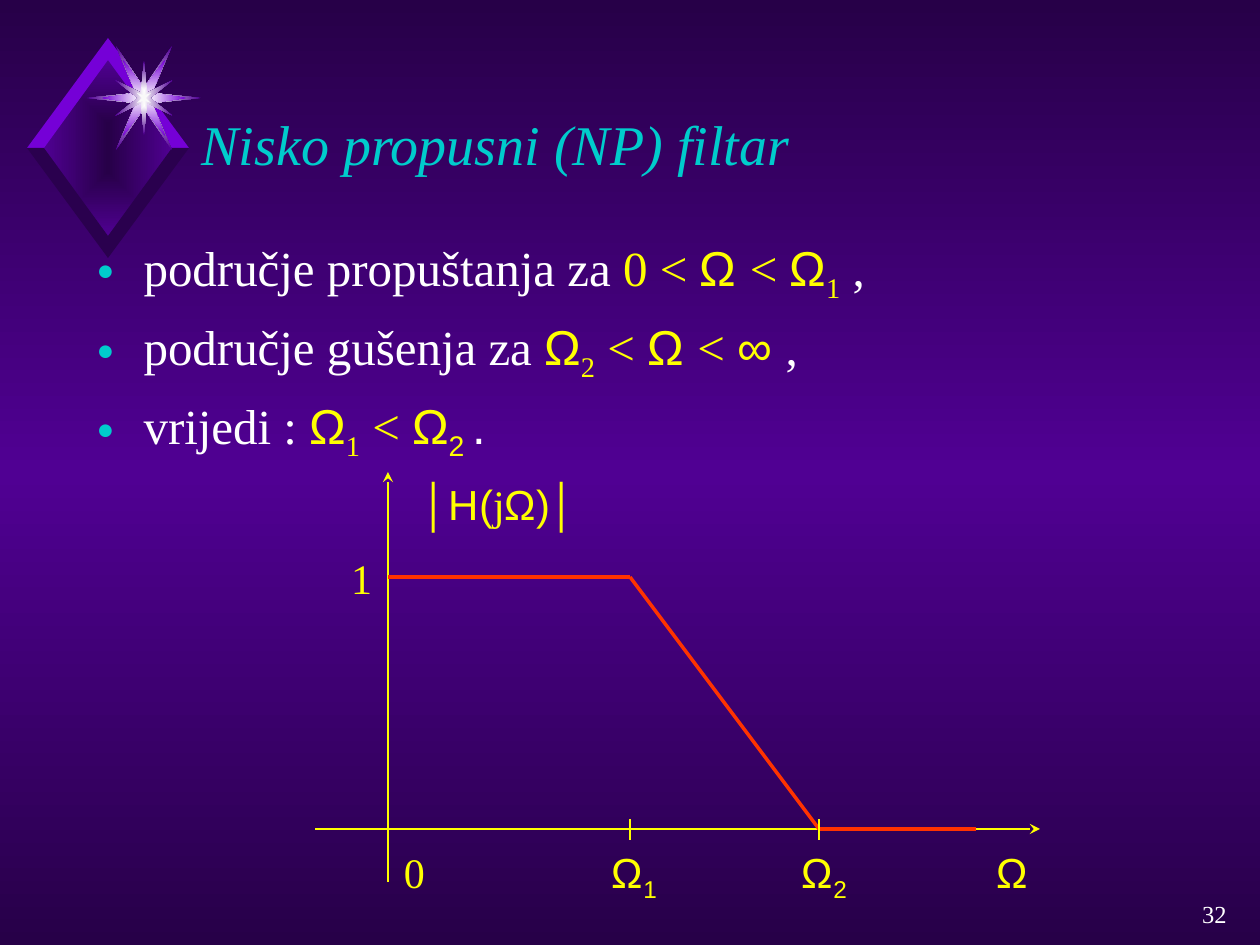
from lxml.etree import SubElement
from pptx import Presentation
from pptx.dml.color import RGBColor
from pptx.enum.shapes import MSO_CONNECTOR
from pptx.enum.text import MSO_ANCHOR, MSO_AUTO_SIZE, PP_ALIGN
from pptx.oxml.ns import qn
from pptx.util import Pt

W, H = 1260, 945
COLORS = dict(dark="270048", mid="500093", bright="7500D7", shade="2A004E",
              star="FEFEFE", core="F9F9F9", title="00CCCC", text="FFFFFF",
              axis="FFFF00", curve="FF3300")
TIMES, ARIAL = "Times New Roman", "Arial"

# Run styles: font, colour, subscript
STYLES = {
    "w": (TIMES, "text", False), "wa": (ARIAL, "text", False),
    "y": (TIMES, "axis", False), "ya": (ARIAL, "axis", False),
    "sub": (TIMES, "axis", True), "suba": (ARIAL, "axis", True),
    "title": (TIMES, "title", False),
}
TITLE = [("Nisko propusni (NP) filtar", "title")]
BULLETS = [
    [("područje propuštanja za ", "w"), ("0 < ", "y"), ("Ω ", "ya"), ("< ", "y"),
     ("Ω", "ya"), ("1", "sub"), (" ,", "w")],
    [("područje gušenja za ", "w"), ("Ω", "ya"), ("2", "sub"), (" < ", "y"),
     ("Ω ", "ya"), ("< ", "y"), ("∞ ", "ya"), (",", "w")],
    [("vrijedi : ", "w"), ("Ω", "ya"), ("1", "sub"), (" < ", "y"), ("Ω", "ya"),
     ("2 ", "suba"), (".", "wa")],
]

# Filter response: origin, pass-band edge, stop-band edge, end of curve
X0, X1, X2, X_END = 388, 630, 819, 976
Y_ONE, Y_ZERO = 577, 829
AXES = [((X0, 882), (X0, 472)), ((315, Y_ZERO), (1040, Y_ZERO))]
CURVE = [(X0, Y_ONE), (X1, Y_ONE), (X2, Y_ZERO), (X_END, Y_ZERO)]
LABEL_W, LABEL_Y = 73, 840
LABELS = [
    ((976, LABEL_Y, LABEL_W, 63), [("Ω", "ya")]),
    ((788, LABEL_Y, LABEL_W, 70), [("Ω", "ya"), ("2", "suba")]),
    ((598, LABEL_Y, LABEL_W, 70), [("Ω", "ya"), ("1", "suba")]),
    ((410, 472, 179, 63), [("│Η(", "ya"), ("j", "y"), ("Ω)│", "ya")]),
    ((378, LABEL_Y, LABEL_W, 63), [("0", "y")]),
    ((325, 546, LABEL_W, 63), [("1", "y")]),
]

# Ornament: each star is given by its upper right quarter, around its centre
DIAMOND = (108, 148)
OUTER, INNER = (81, 110), (64, 88)
STAR = (144, 98)
STARS = [
    ([(57, 0), (8, -5), (28, -52), (0, -10)], ("star", "mid")),
    ([(42, 0), (8, -5), (21, -38), (0, -10)], ("star", "bright")),
    ([(6, 0), (29, -18), (3, -5), (0, -37)], ("star", "mid")),
    ([(2, 0), (7, -5), (1, -3), (0, -9)], ("core",)),
]


def px(n):
    return round(n * 914400 / 126)


def rgb(name):
    return RGBColor.from_string(COLORS[name])


def set_gradient(fill, root, names, rectangular):
    """Spread the named colours evenly, from the centre out or top to bottom."""
    fill.gradient()
    grad = root.find(".//" + qn("a:gradFill"))
    for child in list(grad):
        grad.remove(child)
    stops = SubElement(grad, qn("a:gsLst"))
    for i, name in enumerate(names):
        gs = SubElement(stops, qn("a:gs"), pos=str(100000 * i // (len(names) - 1)))
        SubElement(gs, qn("a:srgbClr"), val=COLORS[name])
    if rectangular:
        path = SubElement(grad, qn("a:path"), path="rect")
        SubElement(path, qn("a:fillToRect"), l="50000", t="50000", r="50000", b="50000")
    else:
        SubElement(grad, qn("a:lin"), ang="5400000", scaled="1")


def add_outline(s, center, offsets, names):
    points = [(px(center[0] + x), px(center[1] + y)) for x, y in offsets]
    builder = s.shapes.build_freeform(*points[0])
    builder.add_line_segments(points[1:], close=True)
    sp = builder.convert_to_shape()
    sp.shadow.inherit = False
    sp.line.fill.background()
    if len(names) > 1:
        set_gradient(sp.fill, sp._element, names, True)
    else:
        sp.fill.solid()
        sp.fill.fore_color.rgb = rgb(names[0])


def add_ornament(s):
    (ow, oh), (iw, ih) = OUTER, INNER
    add_outline(s, DIAMOND, [(0, -ih - 1), (-iw - 1, 0), (0, ih + 1), (iw + 1, 0)],
                ("dark", "mid"))
    for sy, name in ((-1, "bright"), (1, "shade")):
        for sx in (1, -1):
            add_outline(s, DIAMOND, [(0, sy * ih), (0, sy * oh), (sx * ow, 0), (sx * iw, 0)],
                        (name,))
    for quarter, names in STARS:
        half = quarter + [(-x, y) for x, y in reversed(quarter[:-1])]
        add_outline(s, STAR, half + [(-x, -y) for x, y in half[1:-1]], names)


def add_line(s, start, end, color, width, arrow=False):
    c = s.shapes.add_connector(MSO_CONNECTOR.STRAIGHT, *map(px, start + end))
    c.line.color.rgb = rgb(color)
    c.line.width = Pt(width)
    if arrow:
        SubElement(c.line._get_or_add_ln(), qn("a:tailEnd"), type="stealth")
    SubElement(c._element.spPr, qn("a:effectLst"))


def place(sp, box, anchor):
    for name, value in zip(("left", "top", "width", "height"), box):
        setattr(sp, name, px(value))
    tf = sp.text_frame
    for name, value in dict(word_wrap=True, auto_size=MSO_AUTO_SIZE.NONE,
                            vertical_anchor=anchor).items():
        setattr(tf, name, value)
    return tf


def write(p, runs, size, align):
    p.alignment = align
    for text, style in runs:
        font, color, sub = STYLES[style]
        r = p.add_run()
        r.text = text
        for name, value in dict(name=font, size=Pt(size), italic=style == "title").items():
            setattr(r.font, name, value)
        r.font.color.rgb = rgb(color)
        if sub:
            r.font._element.set("baseline", "-25000")


def add_bullet(p):
    pPr = p._p.get_or_add_pPr()
    pPr.set("marL", str(px(47)))
    pPr.set("indent", str(px(-47)))
    color = SubElement(pPr, qn("a:buClr"))
    SubElement(color, qn("a:srgbClr"), val=COLORS["title"])
    SubElement(pPr, qn("a:buSzPct"), val="60000")
    SubElement(pPr, qn("a:buChar"), char="●")


def add_text(s, box, runs, size, align, anchor=MSO_ANCHOR.TOP):
    tf = place(s.shapes.add_textbox(0, 0, 0, 0), box, anchor)
    write(tf.paragraphs[0], runs, size, align)


def main():
    prs = Presentation()
    prs.slide_width, prs.slide_height = px(W), px(H)
    s = prs.slides.add_slide(prs.slide_layouts[1])
    set_gradient(s.background.fill, s._element, ("dark", "mid", "dark"), False)
    add_ornament(s)

    tf = place(s.shapes.title, (189, 87, 1061, 113), MSO_ANCHOR.MIDDLE)
    write(tf.paragraphs[0], TITLE, 32, PP_ALIGN.LEFT)

    tf = place(s.placeholders[1], (84, 231, 1155, 210), MSO_ANCHOR.TOP)
    for i, runs in enumerate(BULLETS):
        p = tf.add_paragraph() if i else tf.paragraphs[0]
        add_bullet(p)
        p.space_before = Pt(7 if i else 0)
        write(p, runs, 28, PP_ALIGN.JUSTIFY)

    for start, end in AXES:
        add_line(s, start, end, "axis", 1, arrow=True)
    for start, end in zip(CURVE, CURVE[1:]):
        add_line(s, start, end, "curve", 2)
    for x in (X1, X2):
        add_line(s, (x, 840), (x, 819), "axis", 1)
    for box, runs in LABELS:
        add_text(s, box, runs, 24, PP_ALIGN.CENTER)
    add_text(s, (976, 882, 263, 63), [("32", "w")], 14, PP_ALIGN.RIGHT, MSO_ANCHOR.MIDDLE)

    prs.save("out.pptx")


if __name__ == "__main__":
    main()
